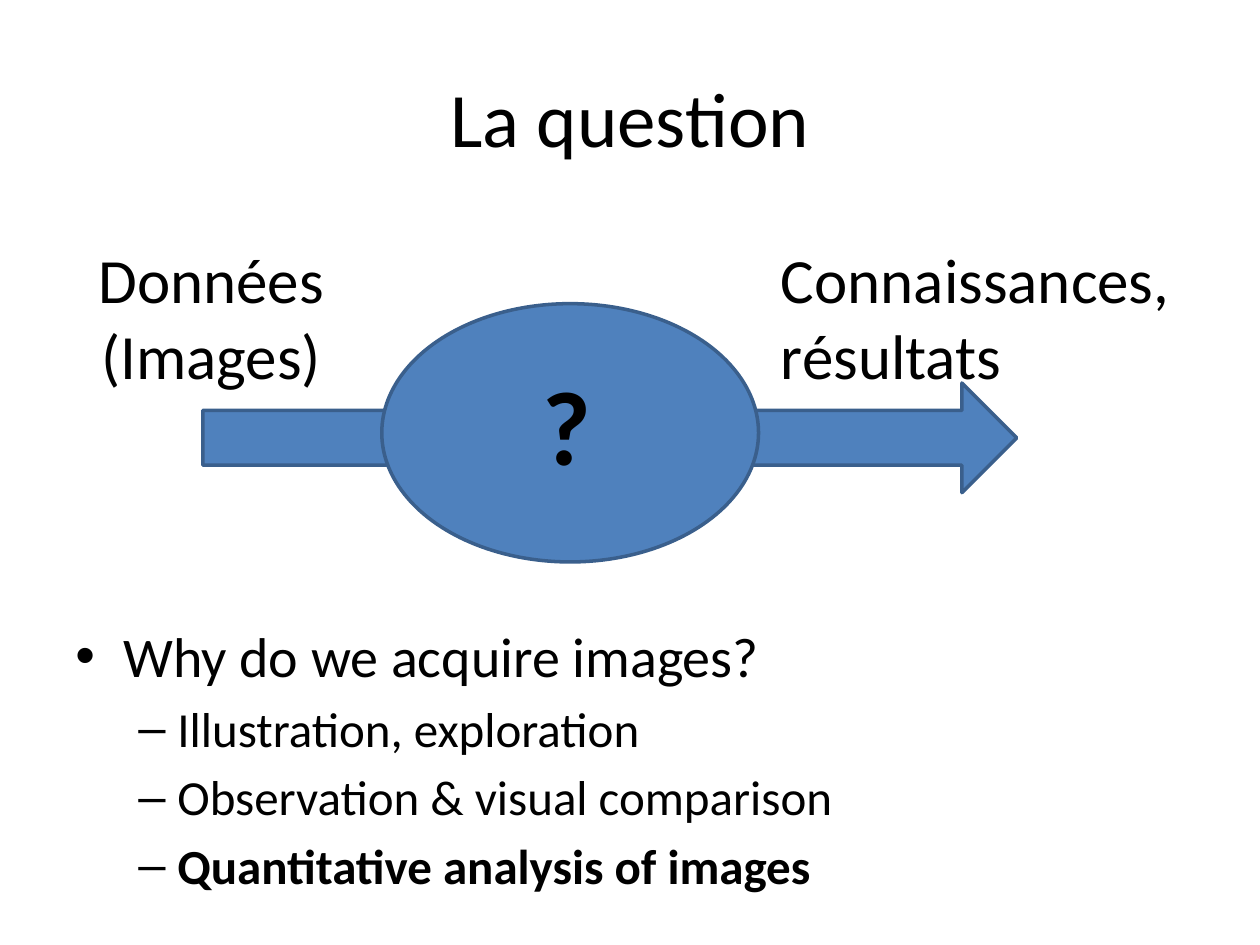
"""Build the slide "La question": data, an open question, then results."""
from lxml import etree
from pptx import Presentation, util as u
from pptx.dml.color import RGBColor
from pptx.enum import shapes, text
from pptx.oxml.ns import qn

prs = Presentation()
prs.slide_width, prs.slide_height = u.Inches(10), u.Inches(7.5)
col, row = prs.slide_width / 100, prs.slide_height / 75
s = prs.slides.add_slide(prs.slide_layouts[6])


def grid(x, y, w, h):
    return int(x * col), int(y * row), int(w * col), int(h * row)


def write(tf, line, size=36, bold=False, align="LEFT", bullet=None, left=0, hang=0, before=0):
    p = tf.paragraphs[0] if not tf.text else tf.add_paragraph()
    p.alignment = text.PP_ALIGN[align]
    p.space_before = u.Pt(before)
    if bullet:
        pPr = p._p.get_or_add_pPr()
        pPr.set("marL", str(u.Inches(left)))
        pPr.set("indent", str(-u.Inches(hang)))
        etree.SubElement(pPr, qn("a:buFont"), typeface="Arial")
        etree.SubElement(pPr, qn("a:buChar"), char=bullet)
    r = p.add_run()
    r.text = line
    r.font.name, r.font.size, r.font.bold = "Calibri", u.Pt(size), bold
    r.font.color.rgb = RGBColor.from_string("000000")


tf = s.shapes.add_textbox(*grid(5, 3, 90, 12.5)).text_frame
tf.word_wrap = True
tf.vertical_anchor = text.MSO_ANCHOR.MIDDLE
write(tf, "La question", size=44, align="CENTER")

tf = s.shapes.add_textbox(*grid(5, 48.8, 90, 23.3)).text_frame
tf.word_wrap = True
write(tf, "Why do we acquire images?", size=32, bullet="•", left=0.38, hang=0.38)
reasons = ["Illustration, exploration", "Observation & visual comparison", "Quantitative analysis of images"]
for reason in reasons:
    write(tf, reason, size=28, bold=reason == reasons[-1], bullet="–", left=0.81, hang=0.31, before=5.6)

for kind, box in [("RIGHT_ARROW", (16.1, 30.4, 64.6, 8.7)), ("OVAL", (30.3, 24.1, 29.9, 20.5))]:
    sp = s.shapes.add_shape(shapes.MSO_SHAPE[kind], *grid(*box))
    sp.shadow.inherit = False
    sp.fill.solid()
    sp.fill.fore_color.rgb = RGBColor.from_string("4F81BD")
    sp.line.color.rgb = RGBColor.from_string("3A5F8C")
    sp.line.width = u.Pt(2)

labels = [
    ((6.7, 18.6, 20.1, 13.1), ["Données", "(Images)"], dict(align="CENTER")),
    ((61, 18.6, 34.3, 13.1), ["Connaissances,", "résultats"], {}),
    ((42.1, 28.1, 5.9, 11.1), ["?"], dict(size=60, bold=True)),
]
for box, lines, style in labels:
    tf = s.shapes.add_textbox(*grid(*box)).text_frame
    tf.word_wrap = False
    tf.auto_size = text.MSO_AUTO_SIZE.SHAPE_TO_FIT_TEXT
    for line in lines:
        write(tf, line, **style)

prs.save("out.pptx")
